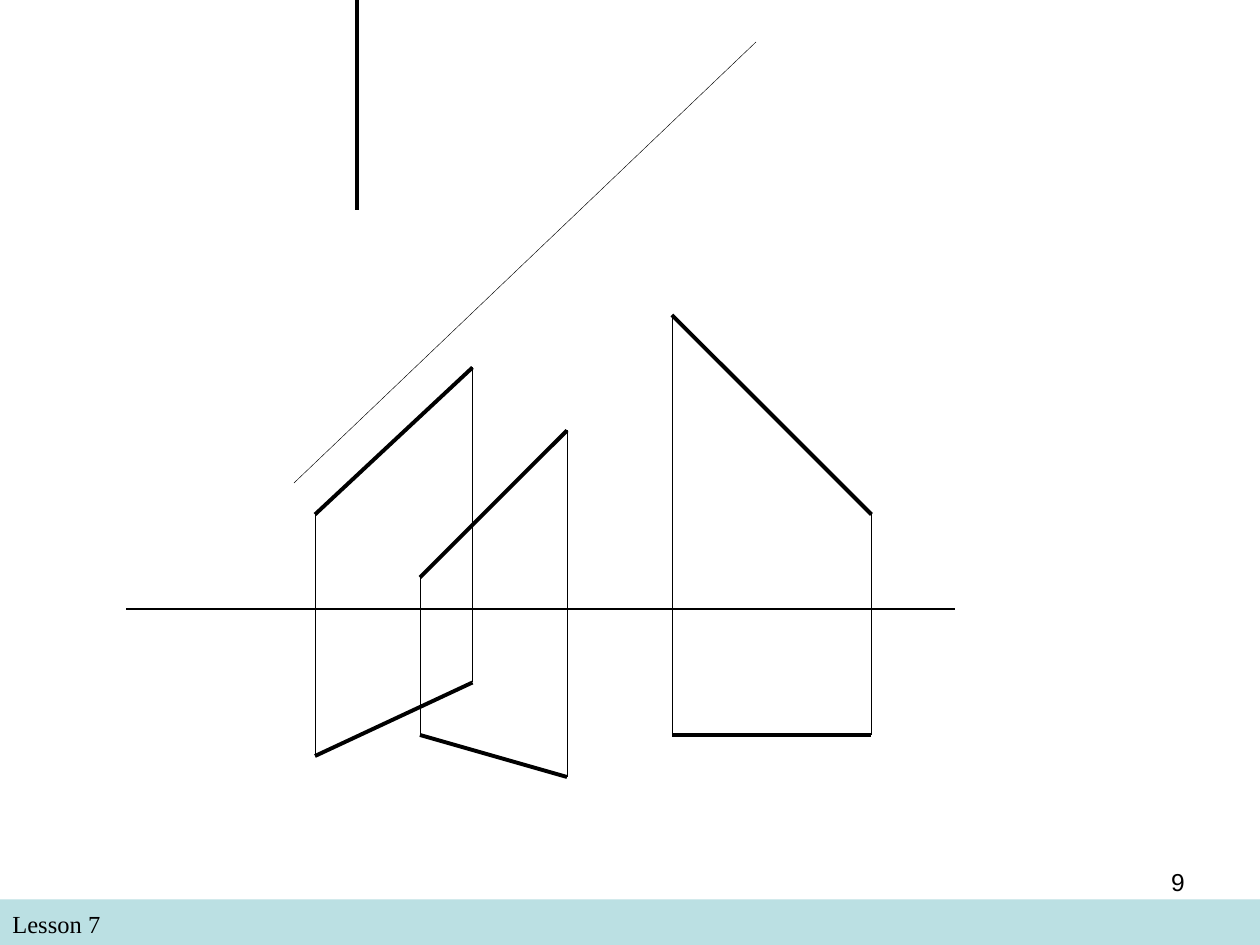
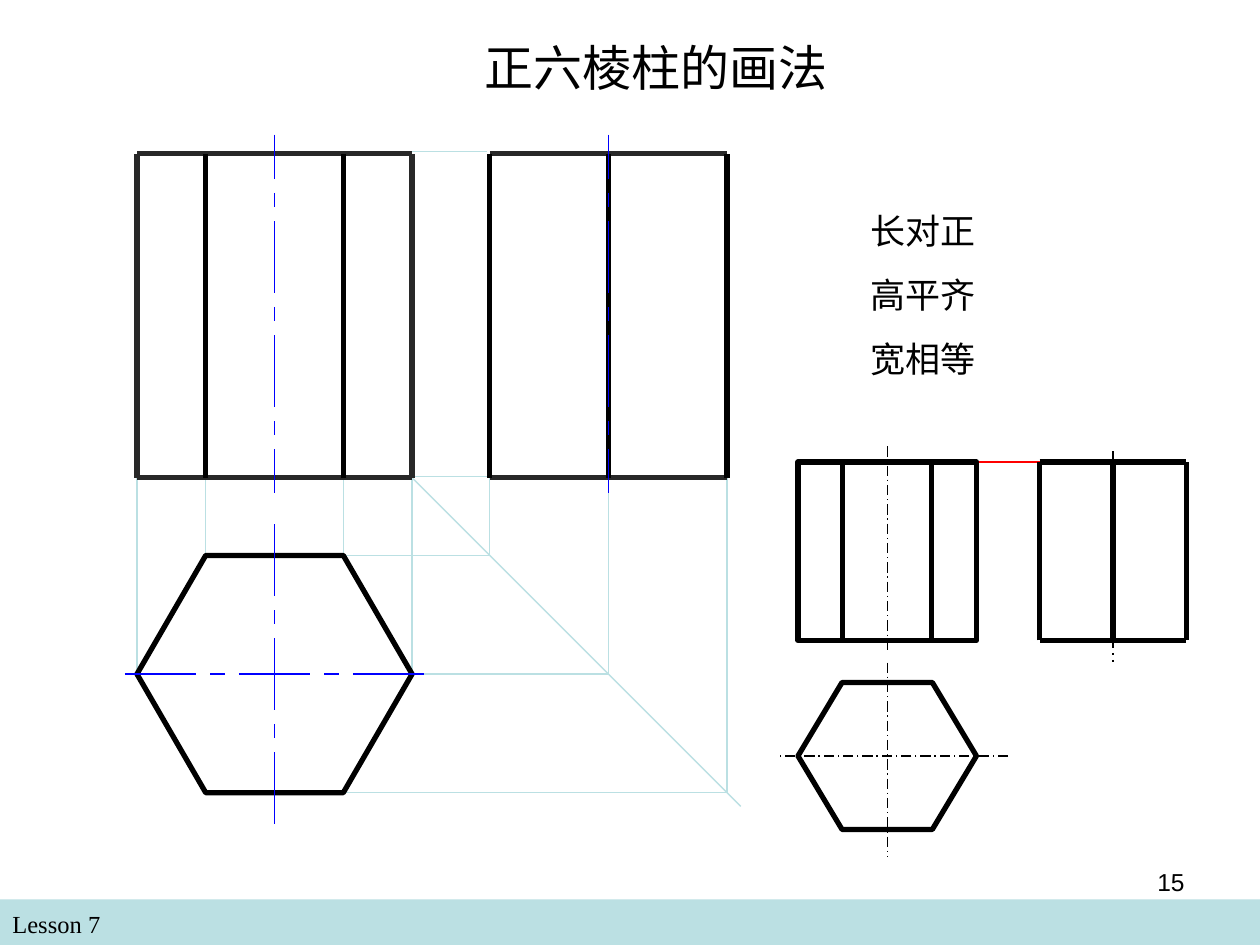
"""Builds two projection-drawing slides on a grid of 120 columns by 90 rows."""
from pptx import Presentation, util as u
from pptx.dml import color
from pptx.enum import dml, shapes, text
from pptx.oxml import ns
from lxml import etree

COLUMNS, ROWS = 120, 90
BLACK, EDGE, TEAL, BLUE, RED = "000000", "282828", "BBE0E3", "0000FF", "FF0000"
LATIN, FOOTER_FONT = "Arial", "Times New Roman"
HAIR, THIN, AXIS, BOLD, HEAVY = 0.25, 0.75, 1, 2.25, 3
LONG, DOT, GAP, END = 6.8, 1.35, 1.35, 4.2
SHORT_AXIS = [LONG, DOT, LONG, DOT, LONG]
TALL_AXIS = [END, DOT, LONG, DOT, LONG, DOT, END]


def rgb(code):
    """Turn a hex string into a colour."""
    return color.RGBColor.from_string(code)


class Drawing:
    """Holds the style and the current slide."""

    def __init__(self):
        """Start an empty presentation with its grid."""
        self.deck = Presentation()
        self.deck.slide_width, self.deck.slide_height = u.Inches(10), u.Inches(7.5)
        self.slide = None

    def x(self, columns):
        """Give the length of a number of columns."""
        return round(self.deck.slide_width * columns / COLUMNS)

    def y(self, rows):
        """Give the length of a number of rows."""
        return round(self.deck.slide_height * rows / ROWS)

    def box(self, left, top, width, height):
        """Give a grid area in slide units."""
        return self.x(left), self.y(top), self.x(width), self.y(height)

    def new_slide(self, number):
        """Add a slide with its footer band and page number."""
        self.slide = self.deck.slides.add_slide(self.deck.slide_layouts[6])
        band = self.preset(shapes.MSO_SHAPE.RECTANGLE, (0, 85.65, 120, 4.35))
        band.fill.solid()
        band.fill.fore_color.rgb = rgb(TEAL)
        band.line.fill.background()
        self.words((0, 86, 58, 4), ["Lesson 7"], 14, font=FOOTER_FONT)
        self.words((86, 82, 28, 6.2), [str(number)], 14, text.PP_ALIGN.RIGHT)

    def words(self, area, lines, size, align=text.PP_ALIGN.LEFT, font=LATIN, gap=0):
        """Write one paragraph for each line."""
        frame = self.slide.shapes.add_textbox(*self.box(*area)).text_frame
        frame.word_wrap = True
        frame.text = "\n".join(lines)
        for index, paragraph in enumerate(frame.paragraphs):
            paragraph.alignment = align
            if index and gap:
                paragraph.space_before = u.Pt(gap)
            for run in paragraph.runs:
                run.font.name, run.font.size = font, u.Pt(size)
                run.font.color.rgb = rgb(BLACK)

    def preset(self, kind, area):
        """Add a preset shape without shadow."""
        shape = self.slide.shapes.add_shape(kind, *self.box(*area))
        shape.shadow.inherit = False
        return shape

    def ink(self, line, shade, weight):
        """Set the colour and weight of a line."""
        line.color.rgb = rgb(shade)
        line.width = u.Pt(weight)

    def hollow(self, shape):
        """Leave only a heavy black outline."""
        shape.fill.background()
        self.ink(shape.line, BLACK, HEAVY)

    def line(self, x1, y1, x2, y2, weight, shade=BLACK, dashed=False):
        """Draw a straight line between two grid points."""
        stroke = self.slide.shapes.add_connector(
            shapes.MSO_CONNECTOR.STRAIGHT, self.x(x1), self.y(y1), self.x(x2), self.y(y2))
        self.ink(stroke.line, shade, weight)
        if dashed:
            stroke.line.dash_style = dml.MSO_LINE.LONG_DASH_DOT
        etree.SubElement(stroke.element.spPr, ns.qn("a:effectLst"))

    def outline(self, points):
        """Draw a closed outline through grid points."""
        corners = [(self.x(column), self.y(row)) for column, row in points]
        builder = self.slide.shapes.build_freeform(*corners[0])
        builder.add_line_segments(corners[1:], close=True)
        shape = builder.convert_to_shape()
        shape.shadow.inherit = False
        self.hollow(shape)

    def centre_line(self, x, y, dashes, upright=True):
        """Draw a blue chain line centred on a grid point."""
        start = -(sum(dashes) + GAP * (len(dashes) - 1)) / 2
        for length in dashes:
            end = start + length
            if upright:
                self.line(x, y + start, x, y + end, THIN, BLUE)
            else:
                self.line(x + start, y, x + end, y, THIN, BLUE)
            start = end + GAP


def segment_projections(drawing):
    """Draw three segments in two views each."""
    drawing.new_slide(9)
    drawing.line(12, 58, 91, 58, AXIS)
    segments = [(64, 30, 70, 83, 49, 70), (30, 49, 72, 45, 35, 65), (40, 55, 70, 54, 41, 74)]
    for left, left_front, left_plan, right, right_front, right_plan in segments:
        drawing.line(left, left_front, left, left_plan, HAIR)
        drawing.line(right, right_front, right, right_plan, HAIR)
        drawing.line(left, left_front, right, right_front, BOLD)
        drawing.line(left, left_plan, right, right_plan, BOLD)
    drawing.line(28, 46, 72, 4, HAIR)
    drawing.line(34, 20, 34, 0, BOLD)


def large_prism(drawing):
    """Draw the three views with their projection lines."""
    middle, radius, depth = 26.15, 13.1, 11.3
    axis, side = 64.2, 57.95
    top, bottom = 14.65, 45.5
    left, inner_left, inner_right, right = (middle + radius * k for k in (-1, -0.5, 0.5, 1))
    back, front = axis - depth, axis + depth
    side_left, side_right = side - depth, side + depth

    guides = [(left, axis), (inner_left, back), (inner_right, back), (right, axis),
              (side_left, back), (side, axis), (side_right, front)]
    for x, end in guides:
        drawing.line(x, bottom, x, end, THIN, TEAL)
    for x, y, end in [(right, axis, side), (inner_right, back, side_left),
                      (inner_right, front, side_right),
                      (39, 45.35, 46.4), (39, 14.4, 46.4)]:
        drawing.line(x, y, end, y, THIN, TEAL)
    drawing.line(right, bottom, 70.55, 76.8, THIN, TEAL)

    drawing.outline([(right, axis), (inner_right, back), (inner_left, back),
                     (left, axis), (inner_left, front), (inner_right, front)])
    for start, end in [(left, right), (side_left, side_right)]:
        for y in (top, bottom):
            drawing.line(start, y, end, y, HEAVY, EDGE)
    for x in (left, right):
        drawing.line(x, top, x, bottom, HEAVY, EDGE)
    for x in (inner_left, inner_right, side_left, side, side_right):
        drawing.line(x, top, x, bottom, HEAVY)

    drawing.centre_line(middle, axis, SHORT_AXIS, upright=False)
    drawing.centre_line(middle, axis, SHORT_AXIS)
    for x in (middle, side):
        drawing.centre_line(x, 29.9, TALL_AXIS)


def small_prism(drawing):
    """Draw the three views at reduced size."""
    left, right, middle = 76, 93, 84.5
    side_left, side, side_right = 99, 106, 113
    top, bottom = 44, 61
    drawing.line(side_left, bottom, side_right, bottom, HEAVY)
    drawing.line(side, 43, side, 63, AXIS, dashed=True)
    drawing.line(right, top, side_right, top, AXIS, RED)
    drawing.outline([(left, top), (left, bottom), (right, bottom), (right, top)])
    for x in (80.25, 88.75):
        drawing.line(x, top, x, bottom, HEAVY)
    plan = drawing.preset(shapes.MSO_SHAPE.HEXAGON, (left, 65, right - left, 14))
    plan.adjustments[0] = 0.3
    drawing.hollow(plan)
    drawing.line(96, 72, 74, 72, THIN, dashed=True)
    for start, end in [(63.1, 81.6), (42.5, 61.9)]:
        drawing.line(middle, start, middle, end, THIN, dashed=True)
    for x in (side_left, side, side_right):
        drawing.line(x, bottom, x, top, HEAVY)
    drawing.line(side_left, top, side_right, top, HEAVY)


def hexagonal_prism(drawing):
    """Show how a regular hexagonal prism is drawn."""
    drawing.new_slide(15)
    drawing.words((11.5, 3, 102, 7), ["正六棱柱的画法"], 28, text.PP_ALIGN.CENTER)
    large_prism(drawing)
    small_prism(drawing)
    drawing.words((81.7, 19.4, 20.8, 17.4), ["长对正", "高平齐", "宽相等"], 20, gap=12.5)


def main():
    """Build and save the slides."""
    drawing = Drawing()
    segment_projections(drawing)
    hexagonal_prism(drawing)
    drawing.deck.save("out.pptx")


if __name__ == "__main__":
    main()
